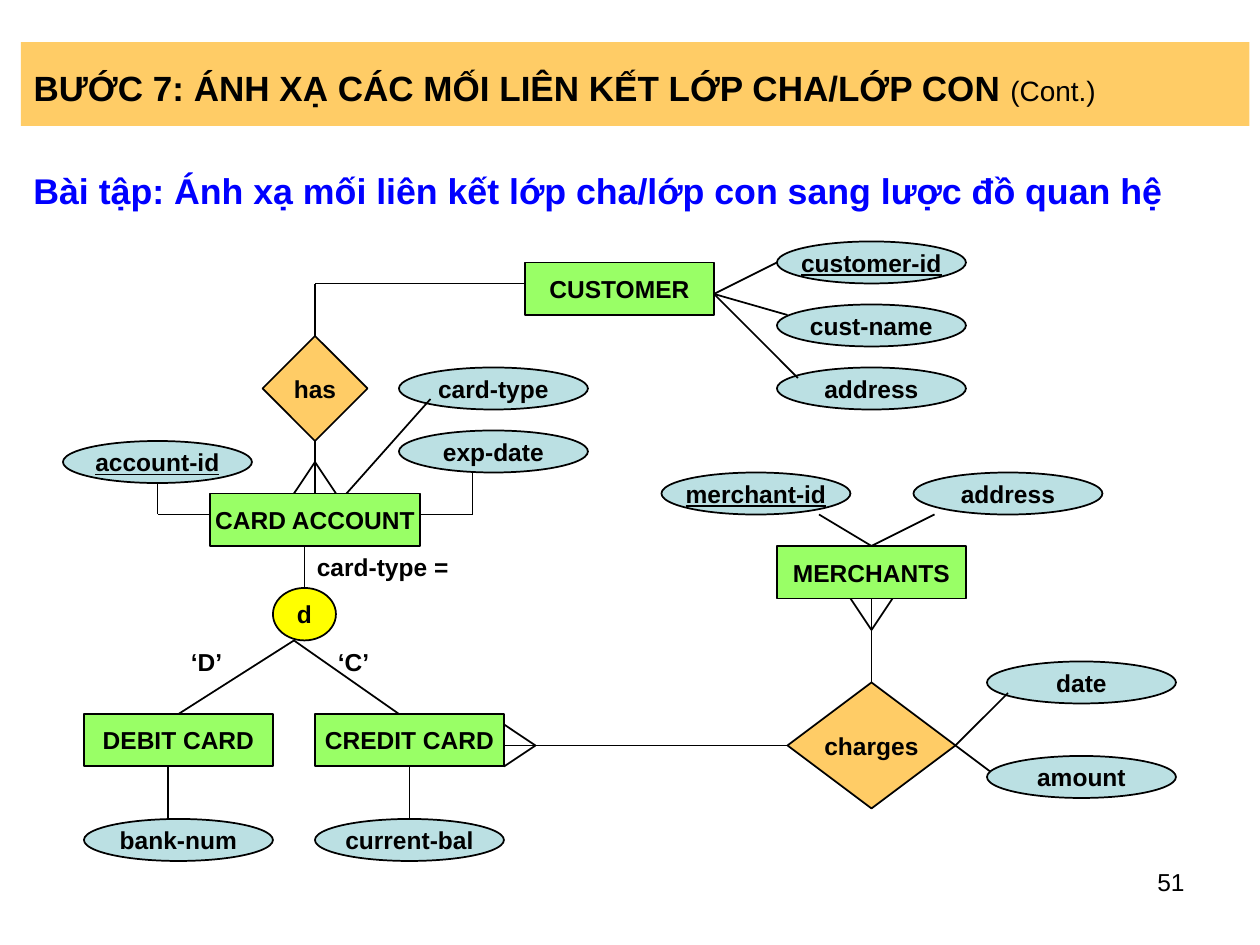
from itertools import pairwise

from lxml import etree
from pptx import Presentation
from pptx.dml.color import RGBColor
from pptx.enum import shapes, text
from pptx.oxml import ns
from pptx.util import Cm, Pt

COLORS = {
    "black": "000000", "blue": "0000FF", "banner": "FFCC66",
    "entity": "99FF66", "attribute": "BBE0E3",
    "relation": "FFCC66", "split": "FFFF00",
}
SHAPE = shapes.MSO_SHAPE
# kind: preset, width, height (grid units)
NODES = {
    "entity": (SHAPE.RECTANGLE, 18, 5),
    "attribute": (SHAPE.OVAL, 18, 4),
    "relation": (SHAPE.DIAMOND, 10, 10),
    "split": (SHAPE.OVAL, 6, 5),
}
LEFT, CENTER, RIGHT = (text.PP_ALIGN.LEFT, text.PP_ALIGN.CENTER,
                       text.PP_ALIGN.RIGHT)


def grid(n):
    """Length of n grid units, twelve to the inch."""
    return Cm(n * 2.54 / 12)


def color(name):
    return RGBColor.from_string(COLORS[name])


def add_run(p, words, size=14, fill="black", bold=True, underline=None):
    r = p.add_run()
    r.text = words
    r.font.name = "Arial"
    r.font.size = Pt(size)
    r.font.bold = bold
    r.font.underline = underline
    r.font.color.rgb = color(fill)


def write(sp, words, align=CENTER, anchor=text.MSO_ANCHOR.MIDDLE, wrap=False,
          spacing=None, **fmt):
    """Set the frame and first paragraph of sp; fmt goes to its run."""
    tf = sp.text_frame
    tf.auto_size = text.MSO_AUTO_SIZE.NONE
    tf.word_wrap = wrap
    tf.vertical_anchor = anchor
    p = tf.paragraphs[0]
    p.alignment = align
    p.line_spacing = spacing
    add_run(p, words, **fmt)
    return p


def add_label(s, box, at, extent, words, **fmt):
    sp = s.shapes.add_textbox(grid(box[0] + at[0]), grid(box[1] + at[1]),
                              grid(extent[0]), grid(extent[1]))
    write(sp, words, **{"align": LEFT, **fmt})


def add_node(s, box, kind, words, x, y, extent=None, **fmt):
    preset, w, h = NODES[kind]
    w, h = extent or (w, h)
    sp = s.shapes.add_shape(preset, grid(box[0] + x), grid(box[1] + y),
                            grid(w), grid(h))
    sp.shadow.inherit = False
    sp.fill.solid()
    sp.fill.fore_color.rgb = color(kind)
    sp.line.color.rgb = color("black")
    sp.line.width = Pt(1)
    write(sp, words, **fmt)


def add_path(s, box, *points):
    """Join successive points with straight lines."""
    x, y = box
    for (x1, y1), (x2, y2) in pairwise(points):
        c = s.shapes.add_connector(shapes.MSO_CONNECTOR.STRAIGHT,
                                   grid(x + x1), grid(y + y1),
                                   grid(x + x2), grid(y + y2))
        c.line.color.rgb = color("black")
        c.line.width = Pt(1)
        etree.SubElement(c._element.spPr, ns.qn("a:effectLst"))


def add_fan(s, box, hub, *ends):
    for end in ends:
        add_path(s, box, hub, end)


def add_heading(s, box):
    title = s.shapes.title
    title.left, title.top = grid(box[0]), grid(box[1])
    title.width, title.height = grid(117), grid(8)
    title.fill.solid()
    title.fill.fore_color.rgb = color("banner")
    p = write(title, "BƯỚC 7: ÁNH XẠ CÁC MỐI LIÊN KẾT LỚP CHA/LỚP CON ",
              align=LEFT, wrap=True, spacing=1.15, size=20)
    add_run(p, "(Cont.)", size=16, bold=False)
    add_label(s, box, (0, 10), (117, 8),
              "Bài tập: Ánh xạ mối liên kết lớp cha/lớp con sang lược đồ "
              "quan hệ", wrap=True, spacing=1.05, size=20.4, fill="blue")


def add_customer(s, box):
    add_node(s, box, "entity", "CUSTOMER", 25, 2)
    add_node(s, box, "relation", "has", 0, 9)
    add_node(s, box, "attribute", "customer-id", 49, 0, underline=True)
    add_node(s, box, "attribute", "cust-name", 49, 6)
    add_node(s, box, "attribute", "address", 49, 12)
    add_fan(s, box, (43, 5), (49, 2), (50, 7), (51, 13))
    add_path(s, box, (5, 9), (5, 4), (25, 4))


def add_account(s, box):
    add_node(s, box, "attribute", "account-id", 0, 7, underline=True)
    add_node(s, box, "attribute", "card-type", 32, 0)
    add_node(s, box, "attribute", "exp-date", 32, 6)
    add_path(s, box, (24, 7), (24, 12))
    add_path(s, box, (22, 12), (24, 9), (26, 12))
    add_path(s, box, (27, 12), (35, 3))
    add_path(s, box, (14, 14), (9, 14), (9, 11))
    add_path(s, box, (32, 14), (39, 14), (39, 10))
    add_node(s, box, "entity", "CARD ACCOUNT", 14, 12, extent=(20, 5))


def add_subtypes(s, box):
    add_path(s, box, (21, 0), (21, 4))
    add_node(s, box, "split", "d", 18, 4)
    add_label(s, box, (21, 0), (24, 4), "card-type =")
    cards = (
        (0, "DEBIT CARD", "bank-num", 8, 9, "‘D’", 9),
        (22, "CREDIT CARD", "current-bal", 31, 30, "‘C’", 23),
    )
    for x, card, attribute, stem, end, code, code_x in cards:
        add_node(s, box, "entity", card, x, 16)
        add_node(s, box, "attribute", attribute, x, 26)
        add_path(s, box, (stem, 21), (stem, 26))
        add_path(s, box, (20, 9), (end, 16))
        add_label(s, box, (code_x, 9), (7, 4), code)


def add_merchants(s, box):
    add_node(s, box, "attribute", "merchant-id", 15, 0, underline=True)
    add_node(s, box, "attribute", "address", 39, 0)
    add_node(s, box, "entity", "MERCHANTS", 26, 7)
    add_fan(s, box, (35, 7), (30, 4), (41, 4))
    add_node(s, box, "relation", "charges", 27, 20, extent=(16, 12))
    add_path(s, box, (35, 20), (35, 12))
    add_path(s, box, (33, 12), (35, 15), (37, 12))
    add_path(s, box, (0, 26), (27, 26))
    add_path(s, box, (0, 24), (3, 26), (0, 28))
    add_node(s, box, "attribute", "date", 46, 18)
    add_fan(s, box, (43, 26), (48, 21), (47, 29))
    add_node(s, box, "attribute", "amount", 46, 27)


def main():
    prs = Presentation()
    prs.slide_width, prs.slide_height = Cm(25.4), Cm(19.05)
    s = prs.slides.add_slide(prs.slide_layouts[5])
    add_heading(s, (2, 4))
    add_customer(s, (25, 23))
    add_account(s, (6, 35))
    add_subtypes(s, (8, 52))
    add_merchants(s, (48, 45))
    add_label(s, (86, 82), (0, 0), (28, 6.25), "51", align=RIGHT,
              anchor=text.MSO_ANCHOR.TOP, wrap=True, bold=False)
    prs.save("out.pptx")


if __name__ == "__main__":
    main()
